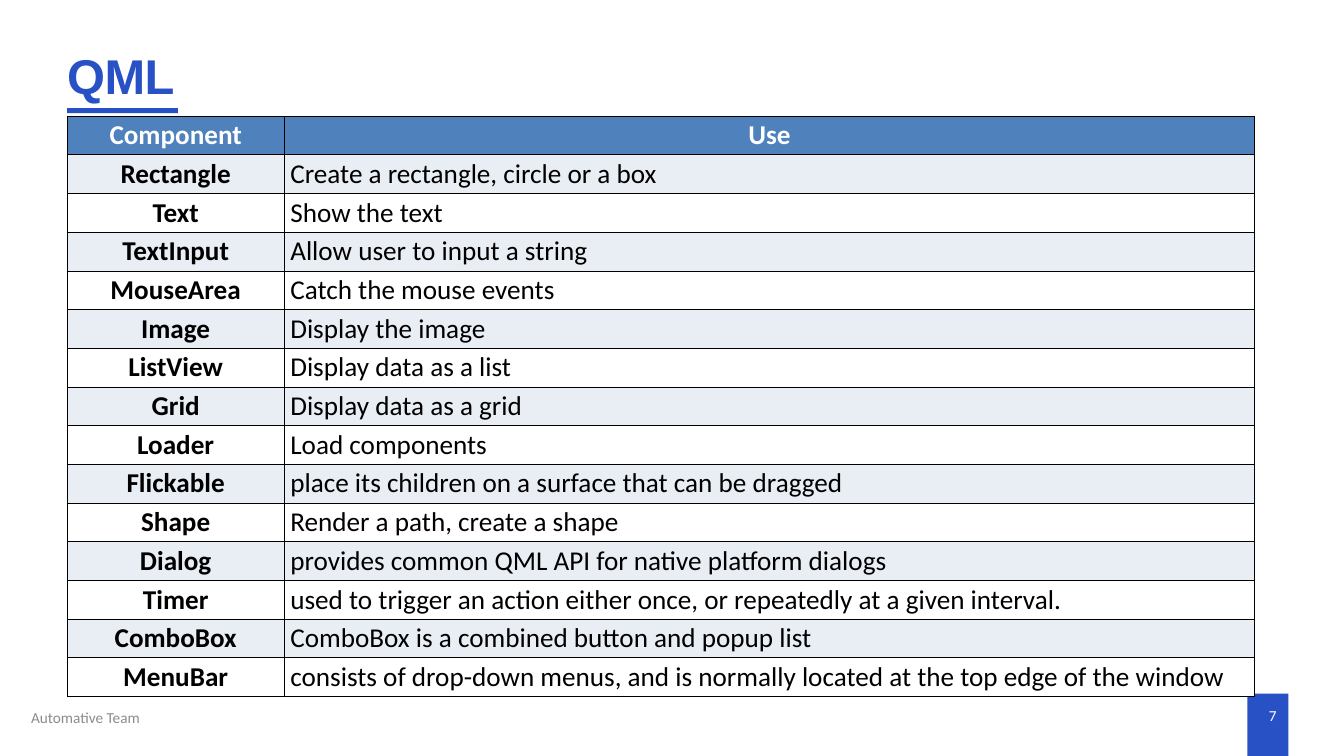
from dataclasses import dataclass

from lxml import etree
from pptx import Presentation
from pptx.dml.color import RGBColor
from pptx.enum import shapes, text
from pptx.oxml import ns
from pptx.util import Inches, Pt


@dataclass(frozen=True)
class Theme:
    accent: str = "2851C5"
    header: str = "4F81BD"
    band: str = "E9EDF4"
    white: str = "FFFFFF"
    black: str = "000000"
    muted: str = "8C8C8C"
    heading_font: str = "Arial"
    body_font: str = "Calibri"
    title_size: float = 57.5
    table_size: float = 32
    footer_size: float = 18


THEME = Theme()
LEFT, CENTER, RIGHT = text.PP_ALIGN.LEFT, text.PP_ALIGN.CENTER, text.PP_ALIGN.RIGHT

COMPONENTS = [
    ("Component", "Use"),
    ("Rectangle", "Create a rectangle, circle or a box"),
    ("Text", "Show the text"),
    ("TextInput", "Allow user to input a string"),
    ("MouseArea", "Catch the mouse events"),
    ("Image", "Display the image"),
    ("ListView", "Display data as a list"),
    ("Grid", "Display data as a grid"),
    ("Loader", "Load components"),
    ("Flickable", "place its children on a surface that can be dragged"),
    ("Shape", "Render a path, create a shape"),
    ("Dialog", "provides common QML API for native platform dialogs"),
    ("Timer", "used to trigger an action either once, or repeatedly at a given interval."),
    ("ComboBox", "ComboBox is a combined button and popup list"),
    ("MenuBar", "consists of drop-down menus, and is normally located at the top edge of the window"),
]


def style(p, font, size, color, bold=False, align=LEFT):
    p.alignment = align
    p.font.name = font
    p.font.size = Pt(size)
    p.font.bold = bold
    p.font.color.rgb = RGBColor.from_string(color)


def add_bar(s, x, y, w, h):
    sp = s.shapes.add_shape(shapes.MSO_SHAPE.RECTANGLE, *map(Inches, (x, y, w, h)))
    sp.shadow.inherit = False
    sp.fill.solid()
    sp.fill.fore_color.rgb = RGBColor.from_string(THEME.accent)
    sp.line.fill.background()


def add_label(s, x, y, w, h, words, *look, **options):
    tf = s.shapes.add_textbox(*map(Inches, (x, y, w, h))).text_frame
    tf.word_wrap = True
    tf.margin_left = tf.margin_top = tf.margin_right = tf.margin_bottom = 0
    p = tf.paragraphs[0]
    r = p.add_run()
    r.text = words
    style(p, *look, **options)
    return r


def add_title(s, x, y, w, h, words):
    r = add_label(s, x, y + 0.02, w, h, words, THEME.heading_font,
                  THEME.title_size, THEME.accent, bold=True)
    r.font._element.set("spc", "-70")
    add_bar(s, x, y + 1.04, 1.81, 0.08)


def add_footer(s, x, y, w, h, team, number):
    add_bar(s, x + w - 0.67, y, 0.67, h)
    look = THEME.body_font, THEME.footer_size
    add_label(s, x, y + 0.24, 7.04, 0.3, team, *look, THEME.muted)
    add_label(s, x + w - 5.25, y + 0.2, 5.06, 0.3, number, *look, THEME.white, align=RIGHT)


def add_borders(cell):
    tc_pr = cell._tc.get_or_add_tcPr()
    for i, side in enumerate(("lnL", "lnR", "lnT", "lnB")):
        ln = etree.Element(ns.qn(f"a:{side}"), w=str(Pt(1)))
        fill = etree.SubElement(ln, ns.qn("a:solidFill"))
        etree.SubElement(fill, ns.qn("a:srgbClr"), val=THEME.black)
        tc_pr.insert(i, ln)


def add_component_table(s, x, y, w, h, rows):
    name_width = 3.55
    table = s.shapes.add_table(len(rows), 2, *map(Inches, (x, y, w, h))).table
    table.columns[0].width = Inches(name_width)
    table.columns[1].width = Inches(w - name_width)
    for i, row in enumerate(rows):
        table.rows[i].height = Inches(h / len(rows))
        header = i == 0
        fill = THEME.header if header else THEME.band if i % 2 else THEME.white
        for j, words in enumerate(row):
            cell = table.cell(i, j)
            cell.text = words
            cell.vertical_anchor = text.MSO_ANCHOR.MIDDLE
            cell.margin_left = cell.margin_right = Inches(0.1)
            cell.margin_top = cell.margin_bottom = Inches(0.04)
            cell.fill.solid()
            cell.fill.fore_color.rgb = RGBColor.from_string(fill)
            add_borders(cell)
            strong = header or j == 0
            style(cell.text_frame.paragraphs[0], THEME.body_font, THEME.table_size,
                  THEME.white if header else THEME.black,
                  bold=strong, align=CENTER if strong else LEFT)


def main():
    prs = Presentation()
    prs.slide_width, prs.slide_height = Inches(21.99), Inches(12.37)
    s = prs.slides.add_slide(prs.slide_layouts[6])
    add_footer(s, 0.51, 11.35, 20.57, 1.02, "Automative Team", "7")
    add_title(s, 1.1, 0.73, 19.79, 0.98, "QML")
    add_component_table(s, 1.1, 1.9, 19.43, 9.5, COMPONENTS)
    prs.save("out.pptx")


main()
